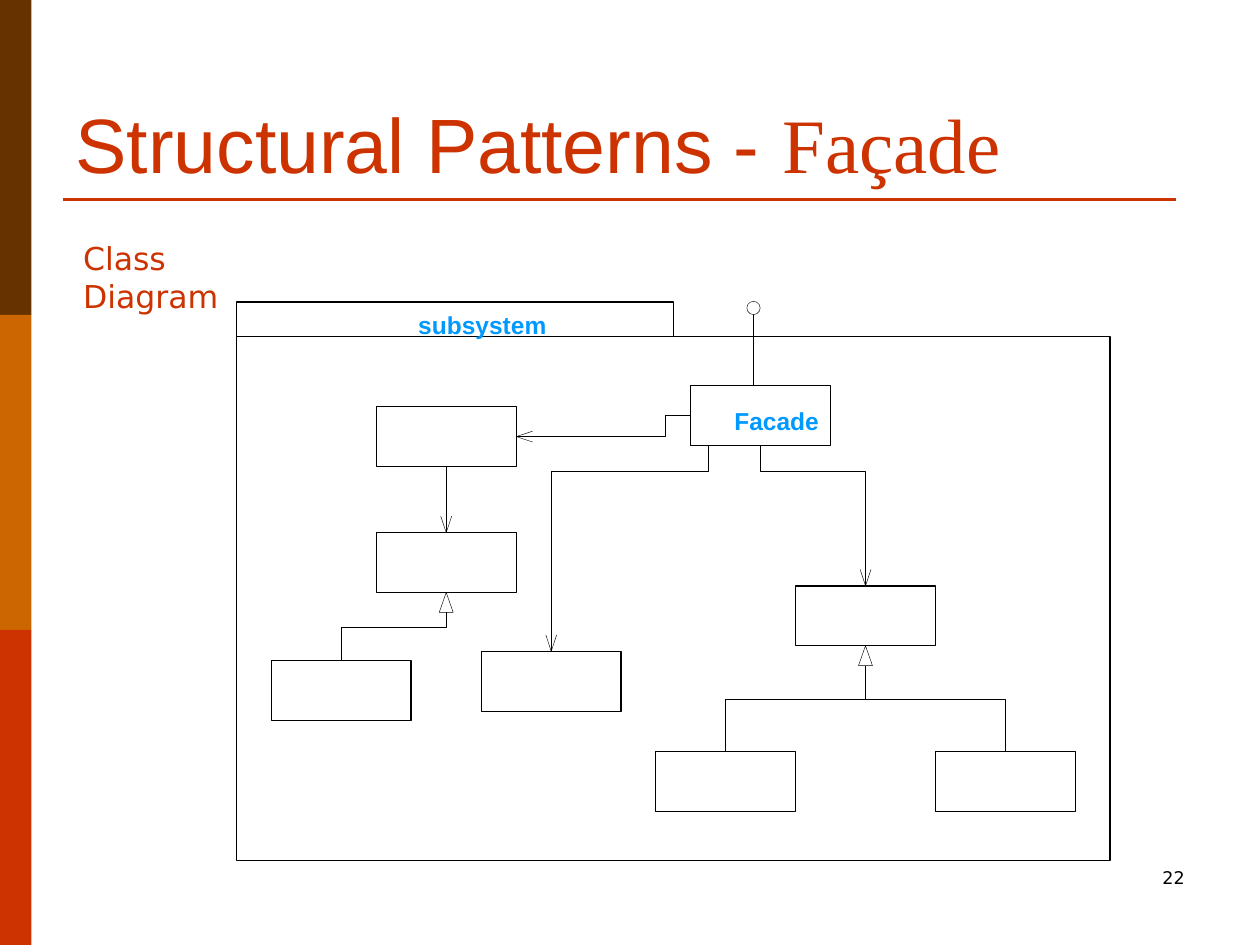
"""Build the Façade pattern class diagram slide."""
from dataclasses import dataclass

import lxml.etree
import pptx
import pptx.dml.color
import pptx.enum.shapes
import pptx.enum.text
import pptx.oxml.ns
import pptx.util

Pt = pptx.util.Pt
COLORS = {
    "brown": "663300", "orange": "CC6600", "red": "CC3300",
    "blue": "0099FF", "black": "000000", "white": "FFFFFF",
}
BOX_WIDTH, BOX_HEIGHT = 80, 34.2
THIN, NORMAL = 0.25, 0.75
TRIANGLE_LENGTH, TRIANGLE_HALF = 11.4, 4
ARROW_LENGTH, ARROW_HALF = 9.4, 3.1


@dataclass
class ClassBox:
    left: float
    top: float

    @property
    def center(self) -> float:
        return self.left + BOX_WIDTH / 2

    @property
    def middle(self) -> float:
        return self.top + BOX_HEIGHT / 2

    @property
    def right(self) -> float:
        return self.left + BOX_WIDTH

    @property
    def bottom(self) -> float:
        return self.top + BOX_HEIGHT


@dataclass
class Label:
    text: str
    left: float
    top: float
    width: float
    height: float
    size: float
    font: str
    color: str
    bold: bool = False
    wrap: bool = False
    margin_x: float = 0
    margin_y: float = 0
    align: pptx.enum.text.PP_ALIGN = pptx.enum.text.PP_ALIGN.LEFT


CLASSES = {
    "facade": ClassBox(394.6, 220.3),
    "client": ClassBox(215, 232.4),
    "base": ClassBox(215, 304.4),
    "derived": ClassBox(155, 377.4),
    "helper": ClassBox(275, 372.2),
    "parent": ClassBox(454.6, 334.8),
    "left child": ClassBox(374.6, 429.6),
    "right child": ClassBox(534.6, 429.6),
}
INHERITANCE = [
    ("derived", "base", 358.6),
    ("left child", "parent", 399.6),
    ("right child", "parent", 399.6),
]
LABELS = [
    Label("Class Diagram", 40.4, 133, 135.4, 52, 18, "DejaVu Sans", "red",
          wrap=True, margin_x=7.2, margin_y=3.6),
    Label("subsystem", 239, 177.1, 73.4, 16.6, 14, "Arial", "blue", bold=True),
    Label("Facade", 419.6, 232, 48.4, 16.6, 14, "Arial", "blue", bold=True),
    Label("22", 516, 492, 168, 36, 10, "DejaVu Sans", "black", wrap=True,
          margin_x=7.2, margin_y=3.6, align=pptx.enum.text.PP_ALIGN.RIGHT),
]


def rgb(name: str) -> pptx.dml.color.RGBColor:
    """Return the named colour."""
    return pptx.dml.color.RGBColor.from_string(COLORS[name])


def format_run(run, font: str, size: float, color: str, bold: bool = False) -> None:
    """Set the typeface, size, colour and weight of a run."""
    run.font.name = font
    run.font.size = Pt(size)
    run.font.bold = bold
    run.font.color.rgb = rgb(color)


def draw_shape(slide, left: float, top: float, width: float, height: float,
               fill: str = "white", line_width: float = NORMAL,
               kind=pptx.enum.shapes.MSO_SHAPE.RECTANGLE):
    """Draw a filled shape, outlined in black when line_width is above zero."""
    shape = slide.shapes.add_shape(kind, Pt(left), Pt(top), Pt(width), Pt(height))
    shape.shadow.inherit = False
    shape.fill.solid()
    shape.fill.fore_color.rgb = rgb(fill)
    if line_width:
        shape.line.color.rgb = rgb("black")
        shape.line.width = Pt(line_width)
    else:
        shape.line.fill.background()
    return shape


def draw_line(slide, start: tuple[float, float], end: tuple[float, float],
              color: str = "black", width: float = THIN):
    """Draw a straight connector without a shadow."""
    connector = slide.shapes.add_connector(
        pptx.enum.shapes.MSO_CONNECTOR.STRAIGHT, *map(Pt, start + end))
    connector.line.color.rgb = rgb(color)
    connector.line.width = Pt(width)
    properties = connector._element.spPr
    lxml.etree.SubElement(properties, pptx.oxml.ns.qn("a:effectLst"))
    return connector


def draw_path(slide, points: list[tuple[float, float]], close: bool = False) -> None:
    """Draw an unfilled thin outline through the points."""
    corners = [(Pt(x), Pt(y)) for x, y in points]
    builder = slide.shapes.build_freeform(*corners[0], scale=1.0)
    builder.add_line_segments(corners[1:], close=close)
    shape = builder.convert_to_shape()
    shape.shadow.inherit = False
    shape.fill.background()
    shape.line.color.rgb = rgb("black")
    shape.line.width = Pt(THIN)


def draw_open_arrow(slide, x: float, y: float, to_left: bool = False) -> None:
    """Draw an open arrowhead with its tip at x, y, pointing down or left."""
    if to_left:
        points = [(x + ARROW_LENGTH, y - ARROW_HALF), (x, y),
                  (x + ARROW_LENGTH, y + ARROW_HALF)]
    else:
        points = [(x - ARROW_HALF, y - ARROW_LENGTH), (x, y),
                  (x + ARROW_HALF, y - ARROW_LENGTH)]
    draw_path(slide, points)


def draw_inheritance(slide, child: ClassBox, parent: ClassBox, bend: float) -> None:
    """Route a child class up to the triangle under its parent."""
    base = parent.bottom + TRIANGLE_LENGTH
    draw_path(slide, [(child.center, child.top), (child.center, bend),
                      (parent.center, bend), (parent.center, base)])


def draw_triangle(slide, parent: ClassBox) -> None:
    """Draw the inheritance triangle under a parent class."""
    base = parent.bottom + TRIANGLE_LENGTH
    draw_path(slide, [(parent.center + TRIANGLE_HALF, base),
                      (parent.center, parent.bottom),
                      (parent.center - TRIANGLE_HALF, base)], close=True)


def draw_label(slide, label: Label) -> None:
    """Draw a text box holding one label."""
    box = slide.shapes.add_textbox(
        Pt(label.left), Pt(label.top), Pt(label.width), Pt(label.height))
    frame = box.text_frame
    frame.word_wrap = label.wrap
    frame.margin_left = frame.margin_right = Pt(label.margin_x)
    frame.margin_top = frame.margin_bottom = Pt(label.margin_y)
    frame.text = label.text
    paragraph = frame.paragraphs[0]
    paragraph.alignment = label.align
    format_run(paragraph.runs[0], label.font, label.size, label.color, label.bold)


def draw_title(slide) -> None:
    """Place and format the title with its two typefaces."""
    title = slide.shapes.title
    title.left, title.top, title.width, title.height = map(Pt, (36, 21.6, 648, 90))
    frame = title.text_frame
    frame.auto_size = pptx.enum.text.MSO_AUTO_SIZE.NONE
    frame.vertical_anchor = pptx.enum.text.MSO_ANCHOR.BOTTOM
    paragraph = frame.paragraphs[0]
    paragraph.alignment = pptx.enum.text.PP_ALIGN.LEFT
    for text, font in (("Structural Patterns - ", "Arial"), ("Façade", "Times New Roman")):
        run = paragraph.add_run()
        run.text = text
        format_run(run, font, 44, "red")


def draw_diagram(slide) -> None:
    """Draw the subsystem package, its classes and their relations."""
    draw_shape(slide, 135, 192.2, 499.4, 299.4)
    draw_shape(slide, 135, 172.6, 250, 19.6)
    boxes = {name: draw_shape(slide, box.left, box.top, BOX_WIDTH, BOX_HEIGHT)
             for name, box in CLASSES.items()}
    for child, parent, bend in INHERITANCE:
        draw_inheritance(slide, CLASSES[child], CLASSES[parent], bend)
    for name in ("base", "parent"):
        draw_triangle(slide, CLASSES[name])

    facade, client, base = (CLASSES[name] for name in ("facade", "client", "base"))
    link = draw_line(slide, (client.center, client.bottom), (base.center, base.top))
    link.begin_connect(boxes["client"], 2)
    link.end_connect(boxes["base"], 0)
    draw_open_arrow(slide, base.center, base.top)
    draw_path(slide, [(facade.left, facade.middle), (380.2, facade.middle),
                      (380.2, client.middle), (client.right, client.middle)])
    draw_open_arrow(slide, client.right, client.middle, to_left=True)
    for start, name in ((404.8, "helper"), (434.6, "parent")):
        target = CLASSES[name]
        draw_path(slide, [(start, facade.bottom), (start, 269.4),
                          (target.center, 269.4), (target.center, target.top)])
        draw_open_arrow(slide, target.center, target.top)

    draw_shape(slide, 426.8, 172.2, 7.6, 7.6, line_width=THIN,
               kind=pptx.enum.shapes.MSO_SHAPE.OVAL)
    draw_line(slide, (430.6, 179.8), (430.6, facade.top))


def main() -> None:
    """Build and save the slide."""
    presentation = pptx.Presentation()
    presentation.slide_width, presentation.slide_height = Pt(720), Pt(540)
    slide = presentation.slides.add_slide(presentation.slide_layouts[5])
    for index, color in enumerate(("brown", "orange", "red")):
        draw_shape(slide, 0, 180 * index, 18, 180, color, line_width=0)
    draw_line(slide, (36, 114), (672, 114), "red", 1.5)
    draw_title(slide)
    draw_diagram(slide)
    for label in LABELS:
        draw_label(slide, label)
    presentation.save("out.pptx")


if __name__ == "__main__":
    main()
